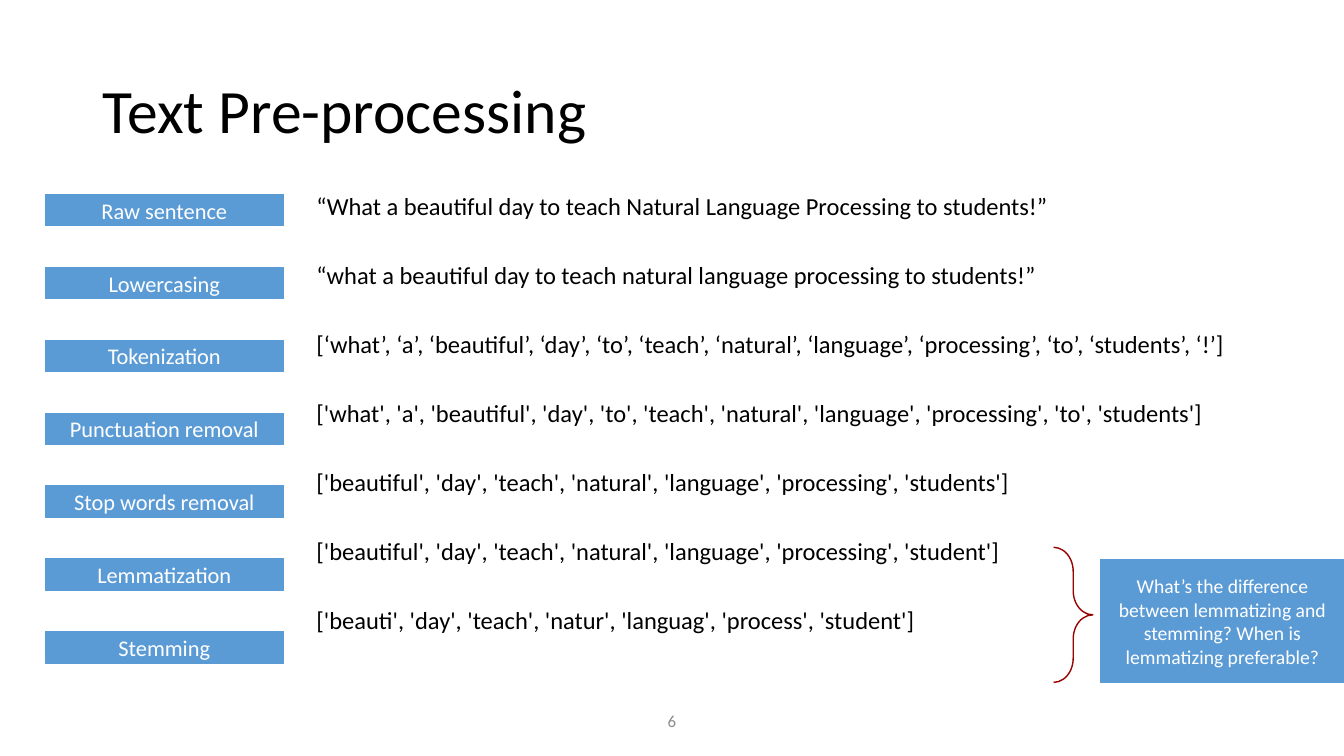
from pptx import Presentation
from pptx import util as u
from pptx.dml.color import RGBColor
from pptx.enum import shapes, text

COLORS = {"ink": "000000", "step": "5B9BD5", "on_step": "FFFFFF",
          "brace": "990000", "number": "8C8C8C"}
FONT = "Calibri"
WIDTH, HEIGHT = 13.33, 7.5

STEPS = [
    ("Raw sentence",
     "“What a beautiful day to teach Natural Language Processing to students!”"),
    ("Lowercasing",
     "“what a beautiful day to teach natural language processing to students!”"),
    ("Tokenization",
     "[‘what’, ‘a’, ‘beautiful’, ‘day’, ‘to’, ‘teach’, ‘natural’, ‘language’, "
     "‘processing’, ‘to’, ‘students’, ‘!’]"),
    ("Punctuation removal",
     "['what', 'a', 'beautiful', 'day', 'to', 'teach', 'natural', 'language', "
     "'processing', 'to', 'students']"),
    ("Stop words removal",
     "['beautiful', 'day', 'teach', 'natural', 'language', 'processing', 'students']"),
    ("Lemmatization",
     "['beautiful', 'day', 'teach', 'natural', 'language', 'processing', 'student']"),
    ("Stemming",
     "['beauti', 'day', 'teach', 'natur', 'languag', 'process', 'student']"),
]
QUESTION = ("What’s the difference between lemmatizing and stemming? "
            "When is lemmatizing preferable?")


def rgb(name):
    return RGBColor.from_string(COLORS[name])


def inches(box):
    return [u.Inches(length) for length in box]


def write(frame, *lines, size, color="ink", align=text.PP_ALIGN.LEFT,
          anchor=text.MSO_ANCHOR.MIDDLE, spacing=1.0, gap=0):
    """Fill a text frame with one paragraph per line, gap points apart."""
    frame.word_wrap = True
    frame.auto_size = text.MSO_AUTO_SIZE.NONE
    frame.vertical_anchor = anchor
    for index, line in enumerate(lines):
        paragraph = frame.add_paragraph() if index else frame.paragraphs[0]
        paragraph.text = line
        paragraph.alignment = align
        paragraph.line_spacing = spacing
        paragraph.space_before = u.Pt(gap if index else 0)
        paragraph.font.name = FONT
        paragraph.font.size = u.Pt(size)
        paragraph.font.color.rgb = rgb(color)


def add_block(slide, box, label, size):
    block = slide.shapes.add_shape(shapes.MSO_SHAPE.RECTANGLE, *inches(box))
    block.shadow.inherit = False
    block.fill.solid()
    block.fill.fore_color.rgb = rgb("step")
    block.line.color.rgb = rgb("step")
    block.line.width = u.Pt(0.75)
    write(block.text_frame, label, size=size, color="on_step",
          align=text.PP_ALIGN.CENTER)


def add_title(slide, box):
    title = slide.shapes.title
    title.left, title.top, title.width, title.height = inches(box)
    write(title.text_frame, "Text Pre-processing", size=44, spacing=0.9)


def add_step_labels(slide, box):
    left, top, width, height = box
    row = height / len(STEPS)
    for index, (step, _) in enumerate(STEPS):
        add_block(slide, (left, top + index * row, width, 0.43 * row), step, 16)


def add_results(slide, box):
    results = slide.shapes.add_textbox(*inches(box))
    write(results.text_frame, *(result for _, result in STEPS), size=17.5,
          anchor=text.MSO_ANCHOR.TOP, spacing=0.7, gap=34.5)


def add_question(slide, box):
    """Brace across the last two steps, with the question on its right."""
    left, top, width, height = box
    brace = slide.shapes.add_shape(
        shapes.MSO_SHAPE.RIGHT_BRACE,
        *inches((left, top, 0.135 * width, height)))
    brace.shadow.inherit = False
    brace.fill.background()
    brace.line.color.rgb = rgb("brace")
    brace.line.width = u.Pt(1)
    brace.adjustments[0] = 0.615
    brace.adjustments[1] = 0.5
    indent, drop = 0.163 * width, 0.09 * height
    add_block(slide, (left + indent, top + drop, width - indent, height - drop),
              QUESTION, 14)


def add_slide_number(slide, box):
    number = slide.shapes.add_textbox(*inches(box))
    write(number.text_frame, "6", size=12, color="number",
          align=text.PP_ALIGN.CENTER)


def main():
    deck = Presentation()
    deck.slide_width, deck.slide_height = inches((WIDTH, HEIGHT))
    slide = deck.slides.add_slide(deck.slide_layouts[5])

    # Heading
    add_title(slide, (0.92, 0.4, 11.5, 1.45))

    # Steps on the left, their results on the right
    steps_top = 1.93
    results_left = 3.04
    add_results(slide, (results_left, steps_top, WIDTH - results_left, 4.97))
    add_step_labels(slide, (0.45, steps_top, 2.36, 5.06))

    # Question about the last two steps
    brace_left = 10.45
    add_question(slide, (brace_left, 5.43, WIDTH - brace_left, 1.34))

    # Footer
    number_width = 4.5
    add_slide_number(slide, ((WIDTH - number_width) / 2, 6.95, number_width, 0.4))

    deck.save("out.pptx")


if __name__ == "__main__":
    main()
